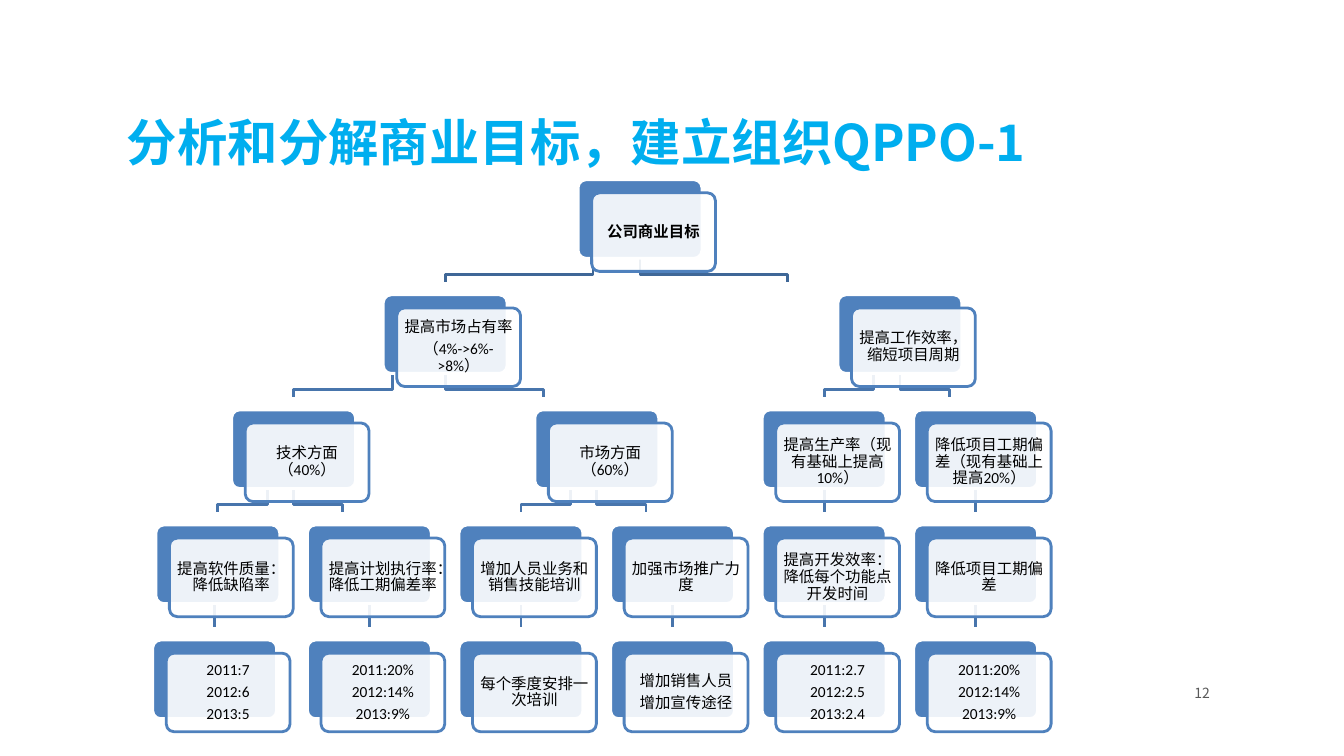
from lxml.etree import SubElement
from pptx import Presentation
from pptx.dml.color import RGBColor
from pptx.enum.shapes import MSO_CONNECTOR, MSO_SHAPE
from pptx.enum.text import MSO_ANCHOR as Anchor, PP_ALIGN as Align
from pptx.oxml.ns import qn
from pptx.util import Cm, Pt

TITLE = "分析和分解商业目标，建立组织QPPO-1"
PAGE_NUMBER = "12"

# Each goal: (text, subgoals)
GOALS = ("公司商业目标", [
    ("提高市场占有率\n（4%->6%->8%）", [
        ("技术方面（40%）", [
            ("提高软件质量：降低缺陷率", [("2011:7\n2012:6\n2013:5", [])]),
            ("提高计划执行率：降低工期偏差率", [("2011:20%\n2012:14%\n2013:9%", [])]),
        ]),
        ("市场方面（60%）", [
            ("增加人员业务和销售技能培训", [("每个季度安排一次培训", [])]),
            ("加强市场推广力度", [("增加销售人员\n增加宣传途径", [])]),
        ]),
    ]),
    ("提高工作效率，缩短项目周期", [
        ("提高生产率（现有基础上提高10%）", [
            ("提高开发效率：降低每个功能点开发时间", [("2011:2.7\n2012:2.5\n2013:2.4", [])]),
        ]),
        ("降低项目工期偏差（现有基础上提高20%）", [
            ("降低项目工期偏差", [("2011:20%\n2012:14%\n2013:9%", [])]),
        ]),
    ]),
])
NUDGES = {"公司商业目标": -0.82, "2011:7\n2012:6\n2013:5": -0.08}

BLUE = RGBColor(0x4F, 0x81, 0xBD)
TOP_LINK = RGBColor(0x3F, 0x67, 0x97)
LINK = RGBColor(0x48, 0x75, 0xAC)
TITLE_BLUE = RGBColor(0x00, 0xAE, 0xEF)
GREY = RGBColor(0x59, 0x59, 0x59)
BLACK = RGBColor(0, 0, 0)
WHITE = RGBColor(255, 255, 255)
LATIN_FONT, CJK_FONT = "Calibri", "Noto Sans CJK SC"

# Lengths in centimetres
LEFT, TOP = 3.93, 4.53
COLUMN_STEP, LEVEL_STEP = 3.82, 2.9
CARD_W, CARD_H = 3.12, 1.98
OFFSET_X, OFFSET_Y = 0.34, 0.33
INSET = 0.13
REACH = 0.65  # drawn share of half the distance between outer subgoals
LINK_BEND, LINK_DROP = 0.41, 0.6


def write(shape, text, size, color, font, align, anchor, bold=False):
    frame = shape.text_frame
    frame.word_wrap = True
    frame.vertical_anchor = anchor
    frame.text = text
    for para in frame.paragraphs:
        para.alignment = align
        for span in para.runs:
            span.font.size = Pt(size)
            span.font.bold = bold
            span.font.name = font
            span.font.color.rgb = color
            east_asian = SubElement(span.font._element, qn("a:ea"))
            east_asian.set("typeface", CJK_FONT)
    return frame


def add_plate(page, x, y, fill, line):
    plate = page.shapes.add_shape(MSO_SHAPE.ROUNDED_RECTANGLE,
                                  Cm(x), Cm(y), Cm(CARD_W), Cm(CARD_H))
    plate.adjustments[0] = 0.1
    plate.shadow.inherit = False
    plate.fill.solid()
    plate.fill.fore_color.rgb = fill
    plate.line.color.rgb = line
    plate.line.width = Pt(2)
    return plate


def add_card(page, text, x, y, bold):
    """Draw the blue plate and the pale labelled one over it; return the blue one."""
    back = add_plate(page, x, y, BLUE, WHITE)
    front = add_plate(page, x + OFFSET_X, y + OFFSET_Y, WHITE, BLUE)
    white = front.fill._xPr.find(qn("a:solidFill"))[0]
    SubElement(white, qn("a:alpha")).set("val", "90000")
    frame = write(front, text, 11, BLACK, LATIN_FONT, Align.CENTER, Anchor.MIDDLE, bold)
    frame.margin_left = frame.margin_right = Cm(INSET)
    frame.margin_top = frame.margin_bottom = Cm(INSET)
    for para in frame.paragraphs:
        para.line_spacing = 0.9
        para.space_after = Pt(3.85)
    return back


def add_straight_link(page, parent, x, y):
    link = page.shapes.add_connector(MSO_CONNECTOR.STRAIGHT,
                                     Cm(x), Cm(y), Cm(x), Cm(y + LINK_DROP))
    SubElement(link.element.spPr, qn("a:effectLst"))
    if abs(parent.left + parent.width / 2 - Cm(x)) < Cm(0.02):
        link.begin_connect(parent, 2)
    return link


def add_elbow_link(page, x1, x2, y):
    builder = page.shapes.build_freeform(Cm(x1), Cm(y))
    bend, end = Cm(y + LINK_BEND), Cm(y + LINK_DROP)
    builder.add_line_segments([(Cm(x1), bend), (Cm(x2), bend), (Cm(x2), end)], close=False)
    link = builder.convert_to_shape()
    link.fill.background()
    link.shadow.inherit = False
    return link


def add_goal(page, goal, level, columns):
    """Draw a goal below its links and above its subgoals; return its centre."""
    text, subgoals = goal
    centers = [add_goal(page, subgoal, level + 1, columns) for subgoal in subgoals]
    if centers:
        base = (centers[0] + centers[-1]) / 2
        if len(centers) == 1:
            base -= NUDGES.get(subgoals[0][0], 0)
    else:
        base = LEFT + next(columns) * COLUMN_STEP + CARD_W / 2
    center = base + NUDGES.get(text, 0)
    y = TOP + level * LEVEL_STEP
    back = add_card(page, text, center - CARD_W / 2, y, bold=level == 0)

    reach = REACH * (centers[-1] - centers[0]) / 2 if centers else 0
    for x in centers:
        if len(centers) == 1:
            link = add_straight_link(page, back, x, y + CARD_H)
        elif x < center:
            link = add_elbow_link(page, x + reach, x, y + CARD_H)
        else:
            link = add_elbow_link(page, center, center + reach, y + CARD_H)
        link.line.color.rgb = LINK if level else TOP_LINK
        link.line.width = Pt(2)
        page.shapes[0].element.addprevious(link.element)
    return center


def main():
    deck = Presentation()
    deck.slide_width, deck.slide_height = Cm(33.87), Cm(19.05)
    page = deck.slides.add_slide(deck.slide_layouts[6])

    add_goal(page, GOALS, 0, iter(range(6)))

    title = page.shapes.add_textbox(Cm(2.95), Cm(1.47), Cm(27.76), Cm(2.97))
    frame = write(title, TITLE, 36, TITLE_BLUE, CJK_FONT, Align.LEFT, Anchor.BOTTOM, True)
    frame.paragraphs[0].line_spacing = 0.8

    number = page.shapes.add_textbox(Cm(27.36), Cm(17.09), Cm(3.38), Cm(0.76))
    write(number, PAGE_NUMBER, 10, GREY, CJK_FONT, Align.RIGHT, Anchor.MIDDLE)

    deck.save("out.pptx")


if __name__ == "__main__":
    main()
